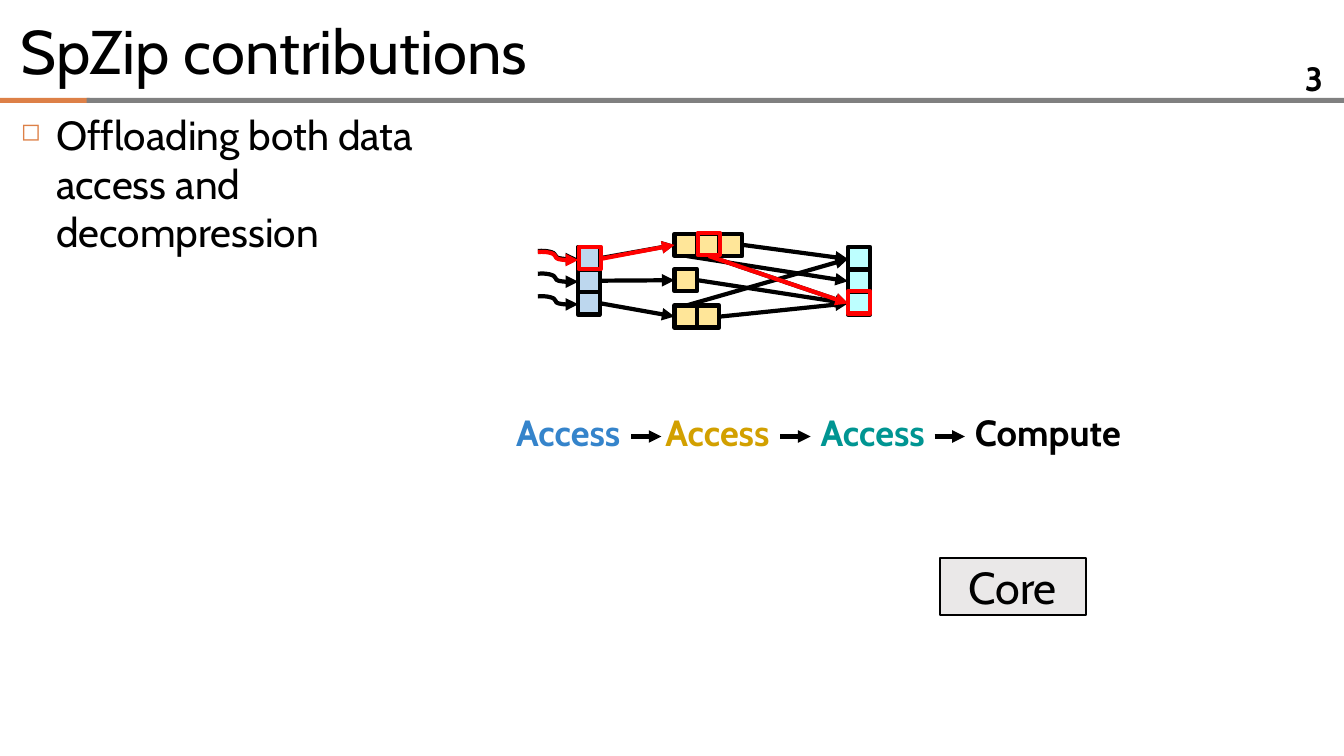
from lxml import etree
from pptx import Presentation
from pptx import util as u
from pptx.dml.color import RGBColor
from pptx.enum import shapes, text
from pptx.oxml import ns

HUES = {
    "black": "000000", "red": "FF0000", "gray": "808080", "orange": "DD8047",
    "blue": "3584CB", "gold": "D2A000", "teal": "009592", "core": "EAE8E8",
    "sky": "BDD7EE", "sand": "FFE699", "aqua": "BDFFFF",
}
SIDE = 0.22
STEP = 0.225


def hue(name):
    return RGBColor.from_string(HUES[name])


def node(parent, tag, **attrs):
    return etree.SubElement(parent, ns.qn(tag), attrs)


def write(frame, words, size=26, color="black", bold=False, align="LEFT",
          anchor="TOP", before=0):
    frame.word_wrap = True
    frame.vertical_anchor = getattr(text.MSO_ANCHOR, anchor)
    para = frame.paragraphs[0]
    para.alignment = getattr(text.PP_ALIGN, align)
    para.space_before = u.Pt(before)
    run = para.add_run()
    run.text = words
    font = run.font
    font.name, font.size, font.bold = "Cabin", u.Pt(size), bold
    font.color.rgb = hue(color)
    return para


class Page:
    font_gap = 7
    weight = 3

    def __init__(self, deck):
        self.items = deck.slides.add_slide(deck.slide_layouts[6]).shapes

    def box(self, x, y, w, h, fill=None, line=None, weight=weight):
        rect = self.items.add_shape(shapes.MSO_SHAPE.RECTANGLE,
                                    *map(u.Inches, (x, y, w, h)))
        rect.shadow.inherit = False
        if fill:
            rect.fill.solid()
            rect.fill.fore_color.rgb = hue(fill)
        else:
            rect.fill.background()
        if line:
            rect.line.color.rgb = hue(line)
            rect.line.width = u.Pt(weight)
        else:
            rect.line.fill.background()
        return rect

    def cell(self, x, y, fill=None, line="black"):
        self.box(x, y, SIDE, SIDE, fill, line)

    def label(self, x, y, w, h, words, **style):
        area = self.items.add_textbox(*map(u.Inches, (x, y, w, h)))
        return write(area.text_frame, words, **style)

    def arrow(self, x1, y1, x2, y2, color="black", kind="STRAIGHT"):
        link = self.items.add_connector(getattr(shapes.MSO_CONNECTOR, kind),
                                        *map(u.Inches, (x1, y1, x2, y2)))
        link.line.color.rgb = hue(color)
        link.line.width = u.Pt(self.weight)
        node(link.line._get_or_add_ln(), "a:tailEnd", type="triangle")
        props = link._element.spPr
        node(props, "a:effectLst")
        return props

    def curve(self, x, y, color="black"):
        props = self.arrow(x, y, x + 0.39, y + 0.12, color, "CURVE")
        props.find(ns.qn("a:xfrm")).set("rot", str(354 * 60000))
        geom = props.find(ns.qn("a:prstGeom"))
        guides = geom.find(ns.qn("a:avLst"))
        if guides is None:
            guides = node(geom, "a:avLst")
        node(guides, "a:gd", name="adj1", fmla="val 43300")

    def bullet(self, para, mark, color, share):
        props = para._p.get_or_add_pPr()
        indent = u.Inches(0.35)
        props.set("marL", str(indent))
        props.set("indent", str(-indent))
        node(node(props, "a:buClr"), "a:srgbClr", val=HUES[color])
        node(props, "a:buSzPct", val=str(share * 1000))
        node(props, "a:buChar", char=mark)


def main():
    deck = Presentation()
    deck.slide_width, deck.slide_height = u.Inches(13.33), u.Inches(7.5)
    page = Page(deck)

    # Header
    page.box(0, 0.97, 0.89, 0.05, "orange")
    page.box(0.86, 0.97, 12.47, 0.05, "gray")
    page.label(0.11, 0.08, 13.11, 0.83, "SpZip contributions",
               size=44, anchor="MIDDLE")
    page.label(12.22, 0.63, 1, 0.28, "3", size=24, bold=True,
               align="RIGHT", anchor="MIDDLE")

    # Main point
    point = page.label(0.11, 1.04, 4.8, 1.23,
                       "Offloading both data access and decompression",
                       size=29, before=page.font_gap)
    page.bullet(point, "◻", "orange", 60)

    # Steps
    for x, w, word, color in ((5.02, 1.29, "Access", "blue"),
                              (6.5, 1.29, "Access", "gold"),
                              (8.04, 1.29, "Access", "teal"),
                              (9.57, 1.68, "Compute", "black")):
        page.label(x, 4.02, w, 0.68, word, color=color, bold=True,
                   before=page.font_gap)
    for x in (6.26, 7.74, 9.27):
        page.arrow(x, 4.33, x + 0.3, 4.33)

    # Core
    core = page.box(9.32, 5.54, 1.45, 0.56, "core", "black", 1.5)
    write(core.text_frame, "Core", size=32, align="CENTER", anchor="MIDDLE")

    # Links from the rows to the right column
    for x, y, end in ((6.92, 2.78, 3.01), (7.15, 3.14, 3.01),
                      (6.81, 2.54, 2.79), (7.37, 2.43, 2.57),
                      (7.03, 2.54, 3.01), (6.81, 3.03, 2.57)):
        page.arrow(x, y, 8.41, end)

    # Left and right columns, with the links into the rows
    for i, (row, count) in enumerate(((2.43, 3), (2.78, 1), (3.14, 2))):
        y = 2.45 + i * STEP
        page.curve(5.34, y + 0.02)
        page.arrow(5.96, y + 0.11, 6.69, row)
        page.cell(5.73, y, "sky")
        page.cell(8.41, y, "aqua")
        for j in range(count):
            page.cell(6.69 + j * STEP, row - SIDE / 2, "sand")

    # Highlighted route
    page.curve(5.34, 2.48, "red")
    for x, y in ((5.74, 2.45), (6.92, 2.31), (8.41, 2.89)):
        page.cell(x, y, line="red")
    page.arrow(5.95, 2.57, 6.69, 2.43, "red")
    page.arrow(7.03, 2.54, 8.41, 3.01, "red")

    deck.save("out.pptx")


if __name__ == "__main__":
    main()
